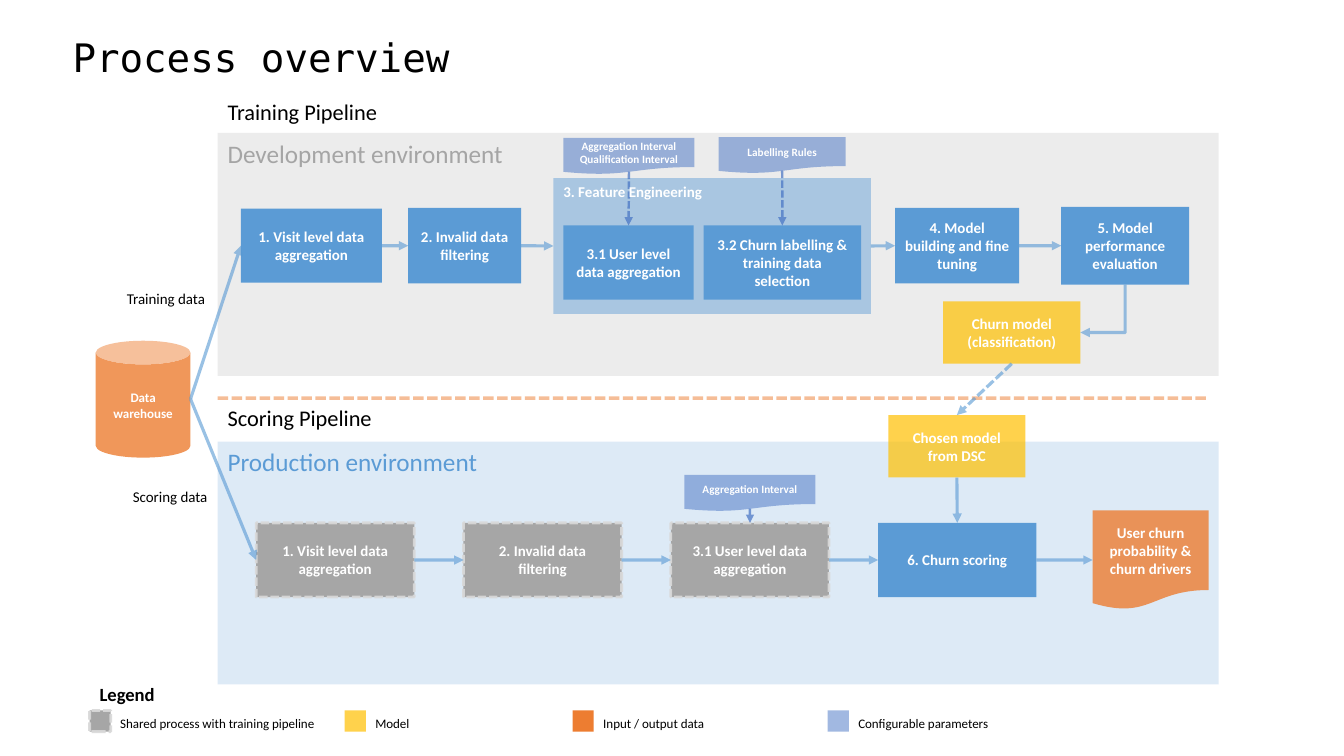
from lxml.etree import SubElement
from pptx import Presentation
from pptx.dml.color import RGBColor
from pptx.enum.dml import MSO_LINE
from pptx.enum.shapes import MSO_CONNECTOR, MSO_SHAPE
from pptx.enum.text import MSO_ANCHOR, PP_ALIGN
from pptx.oxml.ns import qn
from pptx.util import Pt

COLORS = {
    "white": "FFFFFF", "black": "000000", "blue": "5B9BD5", "pale": "BDD7EE",
    "silver": "DBDBDB", "mist": "A5A5A5", "gray": "A6A6A6", "edge": "D9D9D9",
    "navy": "4472C4", "orange": "ED7D31", "gold": "FFC000", "arrow": "5698D3",
}
RECT, DOC, CAN = MSO_SHAPE.RECTANGLE, MSO_SHAPE.FLOWCHART_DOCUMENT, MSO_SHAPE.CAN
TOP, LEFT, BOTTOM, RIGHT = range(4)

# Environments: text, text colour, top, fill
PANELS = [
    ("Production environment", "blue", 315.4, "pale"),
    ("Development environment", "mist", 95, "silver"),
]
HEADS = [("Scoring Pipeline", 285), ("Training Pipeline", 66.3)]

# Training steps: key, text, left, width, height, middle
TRAIN = [
    ("visit", "1. Visit level data aggregation", 172.1, 100.8, 52.8, 175.5),
    ("clean", "2. Invalid data filtering", 291.6, 80.6, 54, 175.5),
    ("user", "3.1 User level data aggregation", 402.5, 93, 53, 187.6),
    ("churn", "3.2 Churn labelling & training data selection", 502.6, 112.5, 53, 187.6),
    ("build", "4. Model building and fine tuning", 639.4, 88.6, 54, 175.5),
    ("check", "5. Model performance evaluation", 758, 91.4, 55.6, 175.5),
]
# Scoring steps, evenly spaced: key, text, shared with training
SCORE = [
    ("visit2", "1. Visit level data aggregation", True),
    ("clean2", "2. Invalid data filtering", True),
    ("user2", "3.1 User level data aggregation", True),
    ("score", "6. Churn scoring", False),
]
SCORE_X, SCORE_GAP, SCORE_MID = 183, 148.1, 400

# Parameters: text, left, top, width, step they feed
PARAMS = [
    ("Aggregation Interval\nQualification Interval", 402.5, 98.6, 93.6, "user"),
    ("Labelling Rules", 513.4, 97.9, 90.7, "churn"),
    ("Aggregation Interval", 488.9, 339.3, 93.6, "user2"),
]
# Models: key, text, left, top
MODELS = [
    ("model", "Churn model\n(classification)", 673.7, 215.2),
    ("chosen", "Chosen model from DSC", 634.5, 296.5),
]
LINKS = [
    ("visit", RIGHT, "clean", LEFT), ("clean", RIGHT, "group", LEFT),
    ("group", RIGHT, "build", LEFT), ("build", RIGHT, "check", LEFT),
    ("visit2", RIGHT, "clean2", LEFT), ("clean2", RIGHT, "user2", LEFT),
    ("user2", RIGHT, "score", LEFT), ("score", RIGHT, "result", LEFT),
    ("chosen", BOTTOM, "score", TOP), ("model", BOTTOM, "chosen", TOP),
]
# Legend: text, left, fill, opacity, dashed edge
LEGEND = [
    ("Shared process with training pipeline", 64, "gray", 100, True),
    ("Model", 246.2, "gold", 70, False),
    ("Input / output data", 409, "orange", 100, False),
    ("Configurable parameters", 591.2, "navy", 50, False),
]
FLOWS = [("Training data", 83.5, 203, 72), ("Scoring data", 87.8, 345, 69.1)]

deck = Presentation()
deck.slide_width, deck.slide_height = Pt(960), Pt(540)
slide = deck.slides.add_slide(deck.slide_layouts[5])
shapes = slide.shapes
nodes = {}


def paint(fmt, color, alpha=100):
    fmt.solid()
    fmt.fore_color.rgb = RGBColor.from_string(COLORS[color])
    if alpha < 100:
        node = next(fmt._xPr.iter(qn("a:srgbClr")))
        SubElement(node, qn("a:alpha")).set("val", str(alpha * 1000))


def write(shape, text, size=10.7, color="white", bold=False, align=PP_ALIGN.LEFT,
          anchor=MSO_ANCHOR.TOP, font="Calibri", wrap=True, space=None):
    frame = shape.text_frame
    frame.text = text
    frame.word_wrap, frame.vertical_anchor = wrap, anchor
    for para in frame.paragraphs:
        para.alignment, para.line_spacing = align, space
        face = para.runs[0].font
        face.name, face.size, face.bold = font, Pt(size), bold
        face.color.rgb = RGBColor.from_string(COLORS[color])


def label(text, x, y, w, h, **fmt):
    write(shapes.add_textbox(Pt(x), Pt(y), Pt(w), Pt(h)), text, **fmt)


def stroke(line, color, width, alpha, dash):
    paint(line.fill, color, alpha)
    line.width = Pt(width)
    if dash:
        line.dash_style = MSO_LINE.SQUARE_DOT


def box(x, y, w, h, fill, alpha=100, kind=RECT, edge=False):
    shape = shapes.add_shape(kind, Pt(x), Pt(y), Pt(w), Pt(h))
    shape.shadow.inherit = False
    paint(shape.fill, fill, alpha)
    if edge:
        stroke(shape.line, "edge", 2, 90, True)
    else:
        shape.line.fill.background()
    return shape


def block(text, *place, size=10.7, **look):
    shape = box(*place, **look)
    write(shape, text, size=size, bold=True, align=PP_ALIGN.CENTER,
          anchor=MSO_ANCHOR.MIDDLE)
    return shape


def wire(x1, y1, x2, y2, color="arrow", width=2.25, alpha=60, dash=False,
         head=True, kind=MSO_CONNECTOR.STRAIGHT):
    line = shapes.add_connector(kind, Pt(x1), Pt(y1), Pt(x2), Pt(y2))
    stroke(line.line, color, width, alpha, dash)
    props = line._element.spPr
    if head:
        SubElement(props.find(qn("a:ln")), qn("a:tailEnd")).set("type", "triangle")
    SubElement(props, qn("a:effectLst"))
    return line


# Title
title = shapes.title
title.left, title.top, title.width, title.height = Pt(44.6), Pt(25.9), Pt(854), Pt(33)
write(title, "Process overview", size=28, color="black", font="DejaVu Sans Mono",
      anchor=MSO_ANCHOR.MIDDLE, space=0.9)

# Environments and the divider between them
for text, color, y, fill in PANELS:
    write(box(155.5, y, 715, 173.5, fill, 50), text, size=18, color=color)
nodes["group"] = box(395.3, 127.2, 226.8, 97, "blue", 46)
wire(155.5, 284.4, 863.3, 284.4, "orange", 2.5, 50, dash=True, head=False)
for text, y in HEADS:
    label(text, 155.5, y, 188, 26.6, size=16, color="black")

# Steps of both pipelines
for key, text, x, w, h, mid in TRAIN:
    nodes[key] = block(text, x, mid - h / 2, w, h, fill="blue")
for i, (key, text, shared) in enumerate(SCORE):
    nodes[key] = block(text, SCORE_X + i * SCORE_GAP, SCORE_MID - 26.5, 113, 53,
                       fill="gray" if shared else "blue", edge=shared)

# Data and models
nodes["result"] = block("User churn probability & churn drivers", 780.5,
                        SCORE_MID - 35.5, 82.8, 71, fill="orange", alpha=80, kind=DOC)
block("Data warehouse", 68.4, 243.4, 67.7, 83.5, size=9.3,
      fill="orange", alpha=80, kind=CAN)
for key, text, x, y in MODELS:
    nodes[key] = block(text, x, y, 98, 44.6, fill="gold", alpha=70)

# Parameters with arrows to their steps
for text, x, y, w, key in PARAMS:
    block(text, x, y, w, 25.9, size=8, fill="navy", alpha=50, kind=DOC)
    mid = x + w / 2
    line = wire(mid, y + 24, mid, y + 50, "navy", 1.75, 70, dash=True)
    line.end_connect(nodes[key], TOP)
label("3. Feature Engineering", 395.3, 127.2, 173.5, 20.2, bold=True)

# Arrows between steps
for start, out, end, into in LINKS:
    line = wire(0, 0, 0, 0, dash=start == "model")
    line.begin_connect(nodes[start], out)
    line.end_connect(nodes[end], into)
for key in ("visit", "visit2"):
    wire(136.1, 285, 0, 0).end_connect(nodes[key], LEFT)

# Elbow from step 5 down and left to the churn model
last, model = nodes["check"], nodes["model"]
x1, y1 = (last.left + last.width / 2) / Pt(1), (last.top + last.height) / Pt(1)
x2, y2 = (model.left + model.width) / Pt(1), (model.top + model.height / 2) / Pt(1)
cx, cy, run, drop = (x1 + x2) / 2, (y1 + y2) / 2, x1 - x2, y2 - y1
elbow = wire(cx - drop / 2, cy - run / 2, cx + drop / 2, cy + run / 2,
             kind=MSO_CONNECTOR.ELBOW)
elbow._element.spPr.find(qn("a:prstGeom")).set("prst", "bentConnector2")
elbow._element.spPr.find(qn("a:xfrm")).set("rot", "5400000")

# Data flow labels
for text, x, y, w in FLOWS:
    label(text, x, y, w, 20.2, color="black", wrap=False)

# Legend
label("Legend", 64, 484, 140, 23.8, size=13.3, color="black", bold=True)
for text, x, fill, alpha, edge in LEGEND:
    box(x, 507.5, 15.1, 15.1, fill, alpha, edge=edge)
    label(text, x + 14.8, 507.5, 170, 18.7, size=9.3, color="black")

deck.save("out.pptx")
